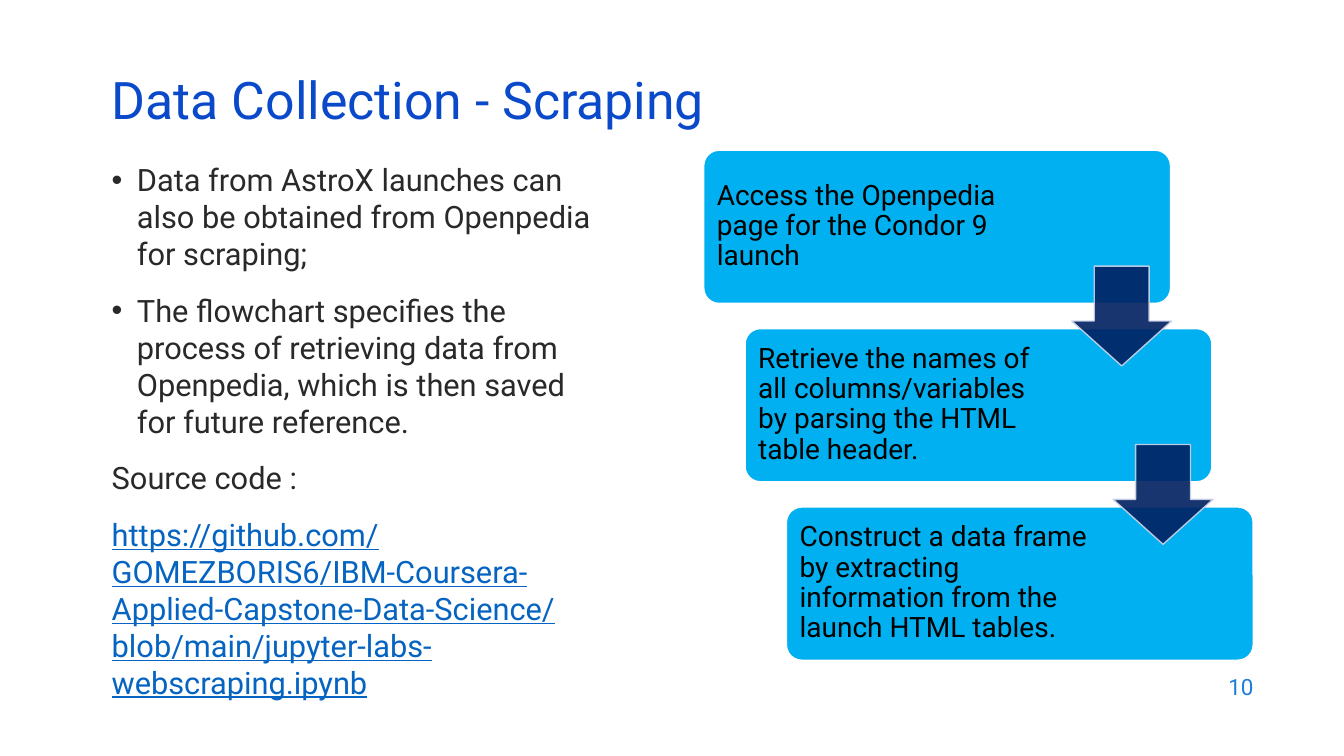
"""Build the slide on data collection by scraping."""
from lxml.etree import SubElement
from pptx import Presentation
from pptx.dml.color import RGBColor
from pptx.enum.shapes import MSO_SHAPE
from pptx.enum.text import MSO_ANCHOR, MSO_AUTO_SIZE, PP_ALIGN
from pptx.oxml.ns import qn
from pptx.util import Inches, Pt

TITLE = "Data Collection - Scraping"
BULLETS = [
    "Data from AstroX launches can also be obtained from Openpedia for scraping;",
    "The flowchart specifies the process of retrieving data from Openpedia, "
    "which is then saved for future reference.",
]
SOURCE_LABEL = "Source code :"
SOURCE_URL = ("https://github.com/GOMEZBORIS6/IBM-Coursera-Applied-Capstone-Data-Science"
              "/blob/main/jupyter-labs-webscraping.ipynb")
STEPS = [
    ("Access the Openpedia page for the Condor 9 launch", 3),
    ("Retrieve the names of all columns/variables by parsing the HTML table header.", 3.15),
    ("Construct a data frame by extracting information from the launch HTML tables.", 3.15),
]
PAGE = "10"

FONT = "Roboto"
STEP_LEFT, STEP_TOP, STEP_WIDTH, STEP_HEIGHT = 6.98, 1.49, 4.63, 1.52
SHIFT_X, SHIFT_Y = 0.41, 1.77
ARROW_LEFT, ARROW_TOP, ARROW_SIZE = 10.63, 2.64, 0.99


def color(code):
    return RGBColor.from_string(code)


def style(paragraph, size, code):
    paragraph.font.name = FONT
    paragraph.font.size = Pt(size)
    paragraph.font.color.rgb = color(code)


def add_text(slide, left, top, width, height, anchor=MSO_ANCHOR.TOP):
    frame = slide.shapes.add_textbox(
        Inches(left), Inches(top), Inches(width), Inches(height)).text_frame
    frame.word_wrap = True
    frame.vertical_anchor = anchor
    return frame


def add_block(slide, preset, box, adjustments, fill, line):
    block = slide.shapes.add_shape(preset, *(Inches(length) for length in box))
    block.shadow.inherit = False
    for index, value in enumerate(adjustments):
        block.adjustments[index] = value
    block.fill.solid()
    block.fill.fore_color.rgb = color(fill)
    block.line.color.rgb = color(line)
    block.line.width = Pt(1)
    return block


def add_title(slide):
    title = slide.shapes.title
    title.left, title.top = Inches(1.01), Inches(0.76)
    title.width, title.height = Inches(11.5), Inches(0.6)
    frame = title.text_frame
    frame.text = TITLE
    frame.auto_size = MSO_AUTO_SIZE.NONE
    frame.vertical_anchor = MSO_ANCHOR.MIDDLE
    heading = frame.paragraphs[0]
    heading.alignment = PP_ALIGN.LEFT
    heading.line_spacing = 0.7
    style(heading, 37, "0B49CB")


def add_body(slide):
    frame = add_text(slide, 1.01, 1.55, 5.09, 5)
    frame.text = "\n".join([*BULLETS, SOURCE_LABEL, SOURCE_URL])
    for index, paragraph in enumerate(frame.paragraphs):
        if index < len(BULLETS):
            properties = paragraph._p.get_or_add_pPr()
            properties.set("marL", str(Inches(0.25)))
            properties.set("indent", str(Inches(-0.25)))
            SubElement(properties, qn("a:buFont"), typeface="Arial")
            SubElement(properties, qn("a:buChar"), char="•")
        if index:
            paragraph.space_before = Pt(14)
        style(paragraph, 22, "292929")
    url = frame.paragraphs[-1]
    url.font.color.rgb = color("0563C1")
    url.font.underline = True


def add_steps(slide):
    for index, (text, width) in enumerate(STEPS):
        left, top = STEP_LEFT + index * SHIFT_X, STEP_TOP + index * SHIFT_Y
        add_block(slide, MSO_SHAPE.ROUNDED_RECTANGLE,
                  (left, top, STEP_WIDTH, STEP_HEIGHT), [0.1], "00B0F0", "FFFFFF")
        frame = add_text(slide, left + 0.05, top + 0.04, width, 1.43, MSO_ANCHOR.MIDDLE)
        frame.margin_left = frame.margin_right = Inches(0.08)
        frame.margin_top = frame.margin_bottom = Inches(0.08)
        frame.text = text
        frame.paragraphs[0].line_spacing = 0.9
        style(frame.paragraphs[0], 20, "000000")


def add_arrows(slide):
    for index in range(len(STEPS) - 1):
        box = (ARROW_LEFT + index * SHIFT_X, ARROW_TOP + index * SHIFT_Y,
               ARROW_SIZE, ARROW_SIZE)
        arrow = add_block(slide, MSO_SHAPE.DOWN_ARROW, box, [0.55, 0.45],
                          "002060", "CFD5EA")
        for tint in arrow._element.spPr.iter(qn("a:srgbClr")):
            SubElement(tint, qn("a:alpha"), val="90000")


def add_page_number(slide):
    frame = add_text(slide, 9.53, 6.59, 3, 0.44, MSO_ANCHOR.MIDDLE)
    frame.text = PAGE
    frame.paragraphs[0].alignment = PP_ALIGN.RIGHT
    style(frame.paragraphs[0], 16, "1C7DDB")


def main():
    deck = Presentation()
    deck.slide_width, deck.slide_height = Inches(13.33), Inches(7.5)
    slide = deck.slides.add_slide(deck.slide_layouts[5])
    add_title(slide)
    add_body(slide)
    add_steps(slide)
    add_arrows(slide)
    add_page_number(slide)
    deck.save("out.pptx")


if __name__ == "__main__":
    main()
